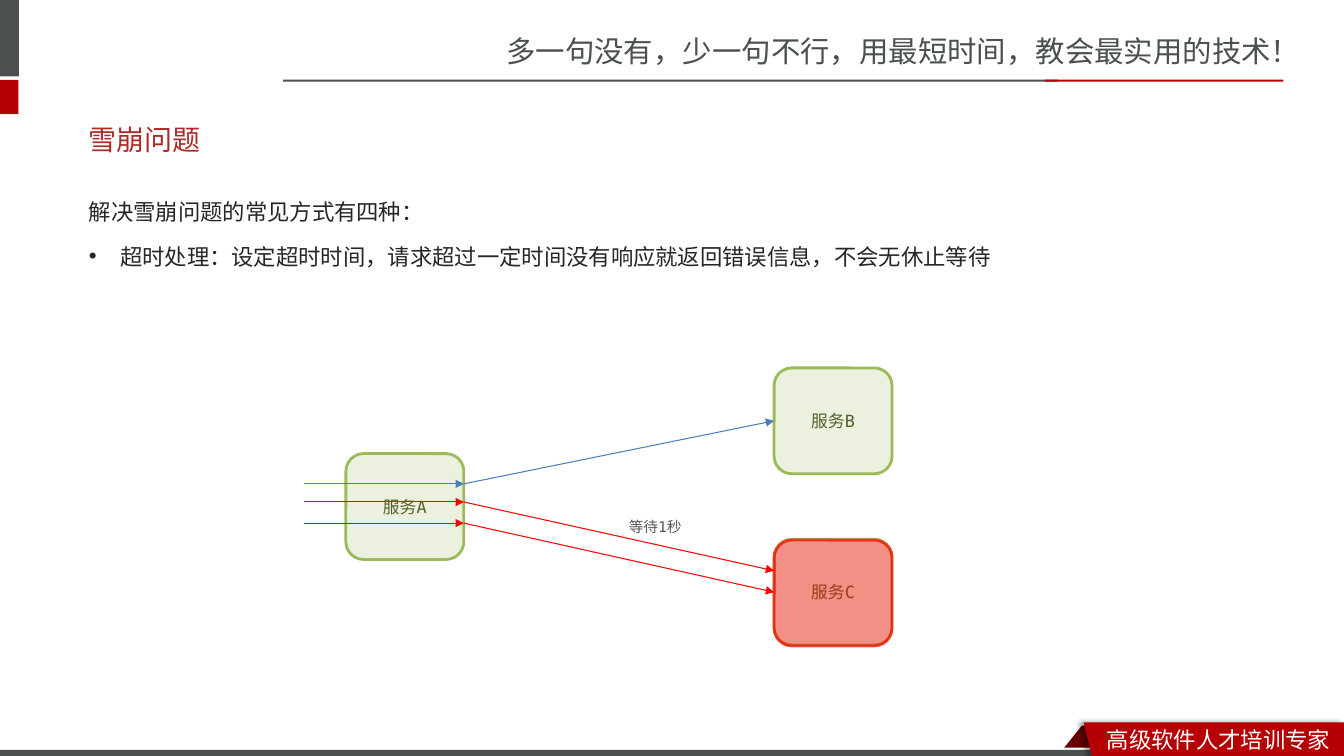
from collections import namedtuple
from lxml.etree import SubElement
from pptx import Presentation
from pptx.dml.color import RGBColor
from pptx.enum.shapes import MSO_CONNECTOR, MSO_SHAPE
from pptx.enum.text import MSO_ANCHOR, PP_ALIGN
from pptx.oxml.ns import qn
from pptx.util import Emu, Inches, Pt

DARK = RGBColor(0x49, 0x50, 0x4F)
RED = RGBColor(0xB6, 0x00, 0x04)
FOLD = RGBColor(0x68, 0x00, 0x00)
WHITE = RGBColor(0xFF, 0xFF, 0xFF)
TITLE = RGBColor(0xAD, 0x2A, 0x26)
INK = RGBColor(0x26, 0x26, 0x26)
GREY = RGBColor(0x59, 0x59, 0x59)
PALE = RGBColor(0xEB, 0xF1, 0xDE)
GREEN = RGBColor(0x9B, 0xBB, 0x59)
MOSS = RGBColor(0x4F, 0x62, 0x28)
BLUE = RGBColor(0x4B, 0x7E, 0xBC)
ALERT = RGBColor(0xFF, 0x00, 0x00)
SC, JP, MONO = "Noto Sans CJK SC", "Noto Sans CJK JP", "DejaVu Sans Mono"

# The slide is a grid of 160 columns by 90 rows
COLS, ROWS = 160, 90
Box = namedtuple("Box", "x y w h")

deck = Presentation()
deck.slide_width, deck.slide_height = Inches(13.333), Inches(7.5)
UNIT = deck.slide_height / ROWS


def size(n):
    return Emu(round(n * UNIT))


def inner(box, x, y, w, h):
    return Box(box.x + x, box.y + y, w, h)


def add_run(para, text, font, pt, color):
    run = para.add_run()
    run.text = text
    run.font.name, run.font.size = font, Pt(pt)
    run.font.color.rgb = color
    east = SubElement(run._r.get_or_add_rPr(), qn("a:ea"))
    east.set("typeface", SC if font == MONO else font)


def add_text(slide, box, text, font, pt, color, anchor=MSO_ANCHOR.TOP):
    frame = slide.shapes.add_textbox(*map(size, box)).text_frame
    frame.word_wrap = True
    frame.vertical_anchor = anchor
    add_run(frame.paragraphs[0], text, font, pt, color)
    return frame


def paint(shape, fill, line=None):
    shape.shadow.inherit = False
    shape.fill.solid()
    shape.fill.fore_color.rgb = fill
    if line is None:
        shape.line.fill.background()
    else:
        shape.line.color.rgb, shape.line.width = line, Pt(2)
    return shape


def add_form(slide, kind, box, fill, line=None):
    return paint(slide.shapes.add_shape(kind, *map(size, box)), fill, line)


def set_alpha(fill, share):
    color = fill._xPr.find(qn("a:solidFill"))[0]
    SubElement(color, qn("a:alpha")).set("val", str(share * 1000))


def add_arrow(slide, box, start, end, color):
    (x1, y1), (x2, y2) = start, end
    ends = (box.x + x1, box.y + y1, box.x + x2, box.y + y2)
    line = slide.shapes.add_connector(MSO_CONNECTOR.STRAIGHT, *map(size, ends))
    line.line.color.rgb, line.line.width = color, Pt(0.75)
    SubElement(line.line._get_or_add_ln(), qn("a:tailEnd")).set("type", "triangle")
    SubElement(line._element.spPr, qn("a:effectLst"))


def add_head(slide, box):
    add_text(slide, inner(box, 59.1, 3.4, 100.9, 5.6),
             "多一句没有，少一句不行，用最短时间，教会最实用的技术！", SC, 21, DARK)
    # Side blocks, then the two-tone rule
    for part, color in (((0, 0, 2.26, 9.1), DARK), ((0, 9.5, 2.2, 4.1), RED),
                        ((33.7, 9.48, 92.2, 0.24), DARK),
                        ((124.4, 9.48, 28.4, 0.24), RED)):
        add_form(slide, MSO_SHAPE.RECTANGLE, inner(box, *part), color)


def add_foot(slide, box):
    fold = add_form(slide, MSO_SHAPE.PARALLELOGRAM,
                    inner(box, 125.9, 0, 20.1, box.h), FOLD)
    fold.adjustments[0] = 0.8
    add_form(slide, MSO_SHAPE.RECTANGLE, inner(box, 0, 2.6, box.w, 1), WHITE)
    add_form(slide, MSO_SHAPE.RECTANGLE, inner(box, 0, 2.88, 131.9, 0.72), DARK)
    # Slanted banner with a soft shadow to the left
    right, low = box.x + box.w, box.y + box.h
    path = slide.shapes.build_freeform(box.x + 128.8, box.y, scale=UNIT)
    path.add_line_segments([(right, box.y), (right, low), (box.x + 130.2, low)])
    flag = paint(path.convert_to_shape(), RED)
    glow = SubElement(flag._element.spPr.find(qn("a:effectLst")), qn("a:outerShdw"))
    for key, val in (("blurRad", Pt(4)), ("dist", Pt(3)), ("dir", 180 * 60000)):
        glow.set(key, str(int(val)))
    tint = SubElement(glow, qn("a:srgbClr"))
    tint.set("val", "000000")
    SubElement(tint, qn("a:alpha")).set("val", "40000")
    add_text(slide, inner(box, 130.6, -0.6, 29.4, 4.4), "高级软件人才培训专家", SC, 16, WHITE)


def add_body(slide, box):
    add_text(slide, inner(box, 0, 0, box.w, 6.8), "雪崩问题", JP, 20, TITLE,
             MSO_ANCHOR.MIDDLE)
    frame = add_text(slide, inner(box, 0, 8.2, box.w, box.h - 8.2),
                     "解决雪崩问题的常见方式有四种：", JP, 16, INK)
    point = frame.add_paragraph()
    add_run(point, "超时处理：设定超时时间，请求超过一定时间没有响应就返回错误信息，不会无休止等待",
            JP, 16, INK)
    for para in frame.paragraphs:
        para.line_spacing, para.space_before = 1.5, Pt(3.2)
    # Bullet with a hanging indent
    props = point._p.get_or_add_pPr()
    props.set("marL", str(Inches(0.31)))
    props.set("indent", str(-Inches(0.31)))
    SubElement(props, qn("a:buFont")).set("typeface", "Arial")
    SubElement(props, qn("a:buChar")).set("char", "•")


def add_node(slide, box, name):
    node = add_form(slide, MSO_SHAPE.ROUNDED_RECTANGLE, box, PALE, GREEN)
    node.text_frame.vertical_anchor = MSO_ANCHOR.MIDDLE
    para = node.text_frame.paragraphs[0]
    para.alignment = PP_ALIGN.CENTER
    add_run(para, name, MONO, 12, MOSS)


def add_flow(slide, box):
    wide, high = 14.04, 12.6
    near, far = 4.94, 55.92
    gate = near + wide
    for name, x, y in (("服务A", near, 10.2), ("服务B", far, 0), ("服务C", far, 20.4)):
        add_node(slide, inner(box, x, y, wide, high), name)
    # Red veil over the failed service
    veil = add_form(slide, MSO_SHAPE.ROUNDED_RECTANGLE,
                    inner(box, far, 20.5, wide, high), ALERT, ALERT)
    set_alpha(veil.fill, 40)
    set_alpha(veil.line.fill, 64)
    # Each request enters service A and goes on to B or C
    for y, goal, color in ((13.8, 6.3, BLUE), (15.96, 24.15, ALERT), (18.48, 26.7, ALERT)):
        add_arrow(slide, box, (0, y), (gate, y), color)
        add_arrow(slide, box, (gate, y), (far, goal), color)
    add_text(slide, inner(box, 37.44, 17.28, 8.76, 3.36), "等待1秒", MONO, 10.5, GREY)


def main():
    slide = deck.slides.add_slide(deck.slide_layouts[6])
    add_foot(slide, Box(0, 86.4, COLS, 3.6))
    add_head(slide, Box(0, 0, COLS, 14))
    add_body(slide, Box(9.4, 13.2, 140.4, 58.8))
    add_flow(slide, Box(36.24, 43.8, 70, 33))
    deck.save("out.pptx")


if __name__ == "__main__":
    main()
